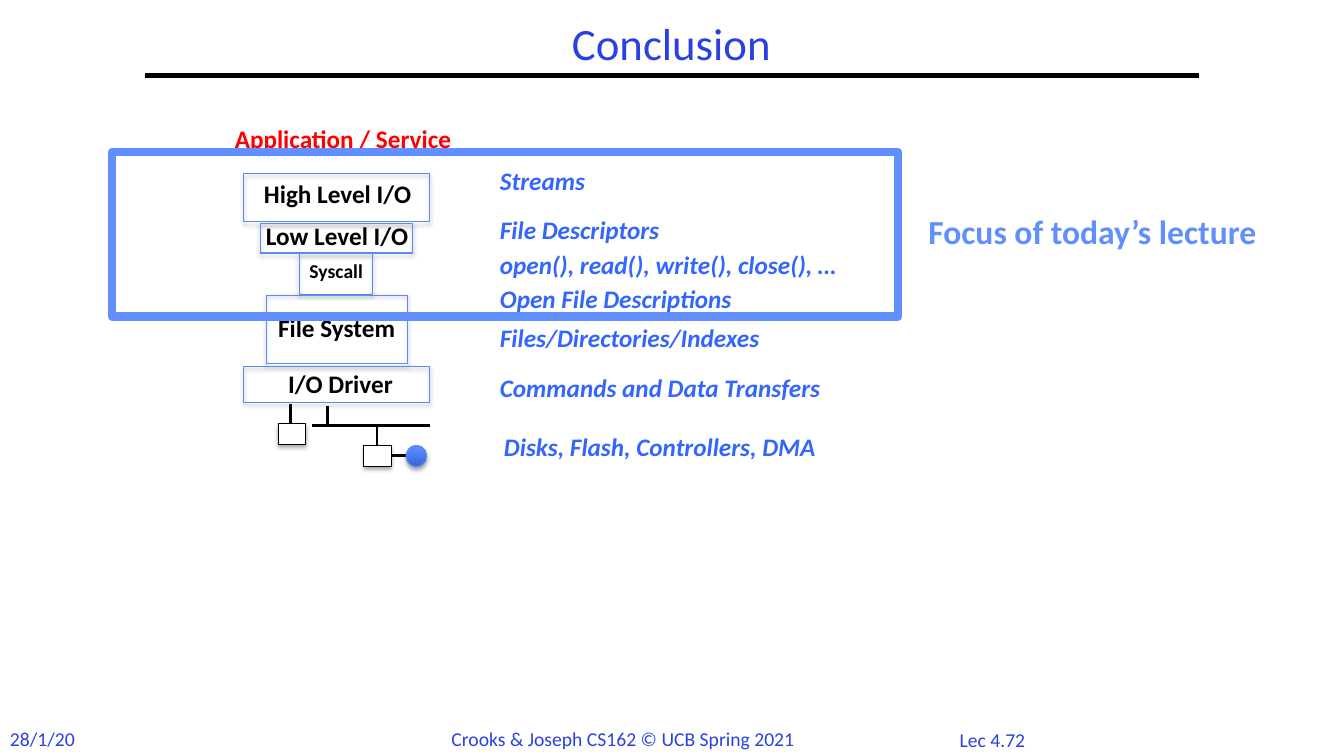
from lxml.etree import SubElement
from pptx import Presentation
from pptx.dml.color import RGBColor
from pptx.enum.shapes import MSO_CONNECTOR, MSO_SHAPE
from pptx.enum.text import MSO_ANCHOR, MSO_AUTO_SIZE, PP_ALIGN
from pptx.oxml.ns import qn
from pptx.util import Inches, Pt

COLORS = {
    "black": "000000",
    "white": "FFFFFF",
    "title": "2A40E2",
    "application": "FF0000",
    "concept": "3366FF",
    "outline": "5B8AFB",
    "focus": "618FFD",
    "disk_dark": "3764CE",
    "disk_light": "5688FF",
}


def color(name):
    return RGBColor.from_string(COLORS[name])


def write(text_frame, text, size=18, fill="black", bold=False, italic=False,
          align=PP_ALIGN.LEFT, spacing=None):
    paragraph = text_frame.paragraphs[0]
    paragraph.alignment = align
    paragraph.line_spacing = spacing
    run = paragraph.add_run()
    run.text = text
    run.font.name = "Calibri"
    run.font.size = Pt(size)
    run.font.bold = bold
    run.font.italic = italic
    run.font.color.rgb = color(fill)


class SlideBuilder:
    def __init__(self, presentation):
        self.slide = presentation.slides.add_slide(presentation.slide_layouts[5])

    def title(self, text, left, top, width, height):
        title = self.slide.shapes.title
        title.left, title.top = Inches(left), Inches(top)
        title.width, title.height = Inches(width), Inches(height)
        title.text_frame.vertical_anchor = MSO_ANCHOR.MIDDLE
        write(title.text_frame, text, size=32, fill="title",
              align=PP_ALIGN.CENTER, spacing=0.9)

    def label(self, text, left, top, width, height=0.4, **style):
        box = self.slide.shapes.add_textbox(
            Inches(left), Inches(top), Inches(width), Inches(height))
        box.text_frame.word_wrap = False
        box.text_frame.auto_size = MSO_AUTO_SIZE.SHAPE_TO_FIT_TEXT
        write(box.text_frame, text, **style)

    def box(self, left, top, width, height, kind=MSO_SHAPE.RECTANGLE,
            fill=None, line="outline", weight=0.75, shadow=True):
        shape = self.slide.shapes.add_shape(
            kind, Inches(left), Inches(top), Inches(width), Inches(height))
        if fill:
            shape.fill.solid()
            shape.fill.fore_color.rgb = color(fill)
        else:
            shape.fill.background()
        shape.line.color.rgb = color(line)
        shape.line.width = Pt(weight)
        shape.shadow.inherit = False
        if shadow:
            effects = shape.element.spPr.find(qn("a:effectLst"))
            outer = SubElement(effects, qn("a:outerShdw"), blurRad=str(Pt(3.1)),
                               dist=str(Pt(1.8)), dir="5400000", rotWithShape="0")
            tint = SubElement(outer, qn("a:srgbClr"), val=COLORS["black"])
            SubElement(tint, qn("a:alpha"), val="35000")
        return shape

    def disk(self, left, top, width, height):
        shape = self.box(left, top, width, height, kind=MSO_SHAPE.OVAL)
        shape.fill.gradient()
        shape.fill.gradient_angle = 90
        stops = zip(shape.fill.gradient_stops, ("disk_dark", "disk_light"), (0, 0.8))
        for stop, name, position in stops:
            stop.color.rgb = color(name)
            stop.position = position

    def line(self, x1, y1, x2, y2, weight=2):
        connector = self.slide.shapes.add_connector(
            MSO_CONNECTOR.STRAIGHT, Inches(x1), Inches(y1), Inches(x2), Inches(y2))
        connector.line.color.rgb = color("black")
        connector.line.width = Pt(weight)
        SubElement(connector.element.spPr, qn("a:effectLst"))


LAYERS = [
    ("High Level I/O", (2.52, 1.72, 1.96), 18, (2.42, 1.72, 1.84, 0.48)),
    ("Low Level I/O", (2.54, 2.14, 1.9), 18, (2.58, 2.22, 1.51, 0.29)),
    ("Syscall", (2.97, 2.52, 0.88, 0.34), 14, (2.97, 2.52, 0.73, 0.4)),
    ("File System", (2.66, 3.05, 1.6), 18, (2.64, 2.93, 1.4, 0.68)),
    ("I/O Driver", (2.76, 3.61, 1.34), 18, (2.42, 3.64, 1.84, 0.35)),
]
BUS_LINES = [
    (3.09, 4.22, 4.26, 4.22),
    (3.25, 4.03, 3.25, 4.22),
    (3.74, 4.22, 3.74, 4.42),
    (3.87, 4.52, 4.03, 4.52),
    (2.88, 4.01, 2.88, 4.2),
]
CONCEPTS = [
    ("Streams", 4.86, 1.59, 1.2),
    ("File Descriptors", 4.86, 2.08, 2.11),
    ("open(), read(), write(), close(), …", 4.86, 2.42, 4.06),
    ("Open File Descriptions", 4.86, 2.76, 2.95),
    ("Files/Directories/Indexes", 4.86, 3.15, 3.18),
    ("Commands and Data Transfers", 4.86, 3.64, 3.93),
    ("Disks, Flash, Controllers, DMA", 4.9, 4.23, 3.88),
]
FOOTERS = [
    ("28/1/20", 0, 7.16, 0.85, 0.34),
    ("Crooks & Joseph CS162 © UCB Spring 2021", 4.38, 7.16, 3.63, 0.34),
    ("Lec 4.72", 9.42, 7.17, 0.97, 0.33),
]


def main():
    presentation = Presentation()
    presentation.slide_width = Inches(13.33)
    presentation.slide_height = Inches(7.5)
    builder = SlideBuilder(presentation)

    builder.title("Conclusion", 1.44, 0.17, 10.44, 0.58)
    builder.line(1.44, 0.75, 11.89, 0.75, weight=3)
    for footer in FOOTERS:
        builder.label(*footer, size=14, fill="title")

    for text, text_place, size, box_place in LAYERS:
        builder.label(text, *text_place, size=size, bold=True)
        builder.box(*box_place)

    for bus_line in BUS_LINES:
        builder.line(*bus_line)
    for left, top in ((3.61, 4.42), (2.76, 4.2)):
        builder.box(left, top, 0.27, 0.21, fill="white", line="black")
    builder.disk(4.03, 4.42, 0.2, 0.21)

    builder.label("Application / Service", 2.23, 1.17, 2.68,
                  fill="application", bold=True)
    builder.box(1.11, 1.51, 7.8, 1.63, line="focus", weight=6, shadow=False)
    builder.label("Focus of today’s lecture", 9.11, 2.04, 4.06, 0.5,
                  size=24, fill="focus", bold=True)
    for concept in CONCEPTS:
        builder.label(*concept, fill="concept", bold=True, italic=True)

    presentation.save("out.pptx")


if __name__ == "__main__":
    main()
